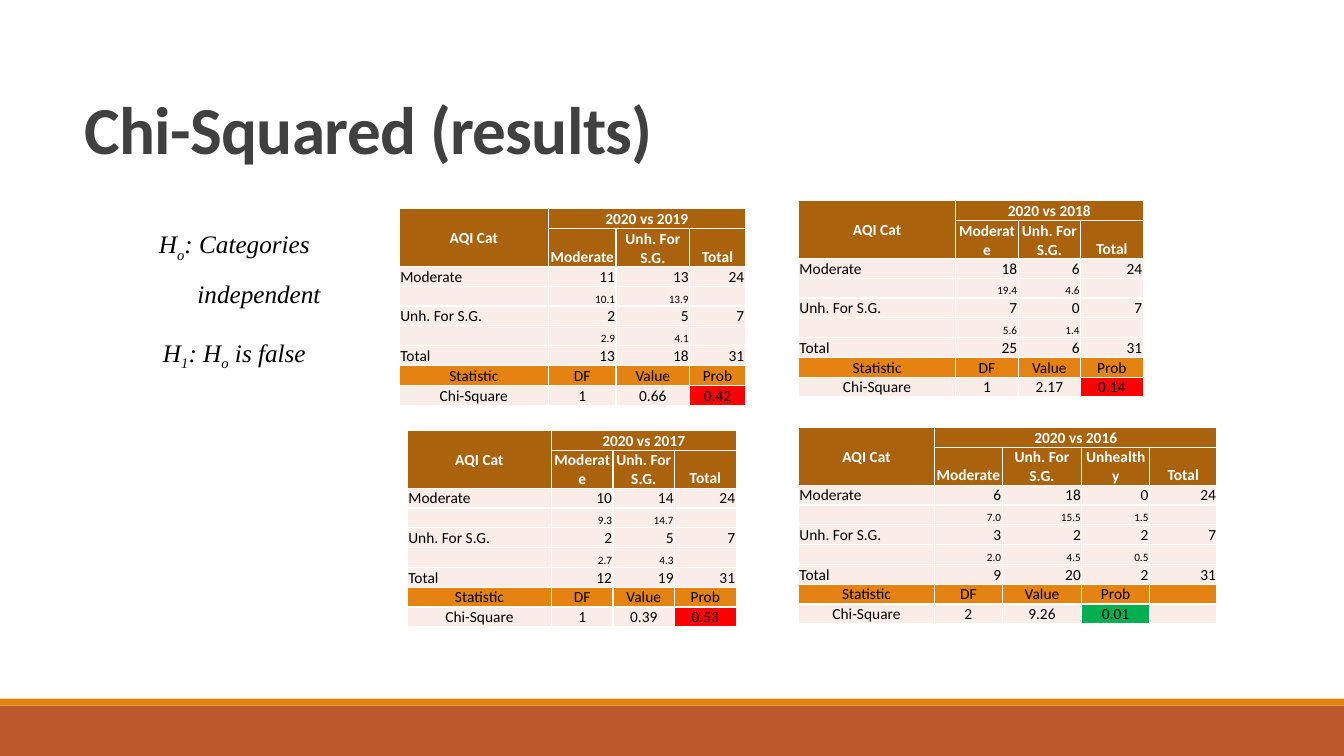
"""Build the chi-squared results slide with four contingency tables."""
from lxml.etree import SubElement
from pptx import Presentation
from pptx.dml.color import RGBColor
from pptx.enum.shapes import MSO_SHAPE
from pptx.enum.text import MSO_ANCHOR, PP_ALIGN
from pptx.oxml.ns import qn
from pptx.util import Inches, Pt

WIDTH, HEIGHT = Inches(13.33), Inches(7.5)
ROW_HEIGHT = 2.62
BROWN, ORANGE, PALE, RED, GREEN = "AB620D", "E48312", "FAEDE7", "FF0000", "00B050"
WHITE, BLACK = "FFFFFF", "000000"

BARS = [((0, 93.33, 100, 6.67), "BD582C"), ((0, 92.4, 100, 0.93), ORANGE)]
TITLE = ("Chi-Squared (results)", (5.55, 11.07, 81.77, 11.87))
HYPOTHESES_BOX = (6.45, 27.33, 21.98, 20.27)
HYPOTHESES = [
    [("H", 0), ("o", 1), (": Categories independent", 0)],
    [("H", 0), ("1", 1), (": H", 0), ("o", 1), (" is false", 0)],
]
LABELS = ["Moderate", "", "Unh. For S.G.", "", "Total"]
STATISTICS = ["Statistic", "DF", "Value", "Prob"]
SHORT_HEADS = ["Moderate", "Unh. For S.G.", "Total"]
LONG_HEADS = ["Moderate", "Unh. For S.G.", "Unhealthy", "Total"]
TABLES = [
    {"year": "2020 vs 2019", "at": (29.71, 27.6), "columns": [11.1, 5.03, 5.48, 4.13],
     "heads": SHORT_HEADS, "result": ["1", "0.66", "0.42"], "mark": RED,
     "counts": [["11", "13", "24"], ["10.1", "13.9", ""], ["2", "5", "7"],
                ["2.9", "4.1", ""], ["13", "18", "31"]]},
    {"year": "2020 vs 2018", "at": (59.41, 26.53), "columns": [11.7, 4.65, 4.65, 4.65],
     "heads": SHORT_HEADS, "result": ["1", "2.17", "0.14"], "mark": RED,
     "counts": [["18", "6", "24"], ["19.4", "4.6", ""], ["7", "0", "7"],
                ["5.6", "1.4", ""], ["25", "6", "31"]]},
    {"year": "2020 vs 2016", "at": (59.41, 56.53), "columns": [10.13, 5.03, 5.93, 5.03, 5.03],
     "heads": LONG_HEADS, "result": ["2", "9.26", "0.01"], "mark": GREEN,
     "counts": [["6", "18", "0", "24"], ["7.0", "15.5", "1.5", ""], ["3", "2", "2", "7"],
                ["2.0", "4.5", "0.5", ""], ["9", "20", "2", "31"]]},
    {"year": "2020 vs 2017", "at": (30.31, 56.93), "columns": [10.73, 4.58, 4.58, 4.58],
     "heads": SHORT_HEADS, "result": ["1", "0.39", "0.53"], "mark": RED,
     "counts": [["10", "14", "24"], ["9.3", "14.7", ""], ["2", "5", "7"],
                ["2.7", "4.3", ""], ["12", "19", "31"]]},
]
CELL_MARGINS = {"margin_left": Inches(0.01), "margin_right": Inches(0.01),
                "margin_top": Inches(0.01), "margin_bottom": 0}


def color(value):
    return RGBColor.from_string(value)


def across(share):
    return round(WIDTH * share / 100)


def down(share):
    return round(HEIGHT * share / 100)


def place(left, top, width, height):
    return across(left), down(top), across(width), down(height)


def set_all(target, values):
    for name, value in values.items():
        setattr(target, name, value)


def add_run(paragraph, text, fill, **font):
    run = paragraph.add_run()
    run.text = text
    set_all(run.font, font)
    run.font.color.rgb = color(fill)
    return run


def add_bar(slide, box, fill):
    bar = slide.shapes.add_shape(MSO_SHAPE.RECTANGLE, *place(*box))
    bar.shadow.inherit = False
    bar.fill.solid()
    bar.fill.fore_color.rgb = color(fill)
    bar.line.fill.background()


def add_title(slide, text, box):
    frame = slide.shapes.add_textbox(*place(*box)).text_frame
    set_all(frame, {"word_wrap": True, "vertical_anchor": MSO_ANCHOR.BOTTOM})
    paragraph = frame.paragraphs[0]
    set_all(paragraph, {"line_spacing": 0.85, "space_after": Pt(6)})
    run = add_run(paragraph, text, "404040", name="Calibri", size=Pt(48), bold=True)
    run.font._element.set("spc", "-50")


def add_hypotheses(slide):
    frame = slide.shapes.add_textbox(*place(*HYPOTHESES_BOX)).text_frame
    frame.word_wrap = True
    for index, parts in enumerate(HYPOTHESES):
        paragraph = frame.add_paragraph() if index else frame.paragraphs[0]
        set_all(paragraph, {"alignment": PP_ALIGN.CENTER, "line_spacing": 1.5, "space_after": Pt(8)})
        if index == 0:
            properties = paragraph._p.get_or_add_pPr()
            properties.set("marL", str(Inches(0.49)))
            properties.set("indent", str(-Inches(0.49)))
        for text, lowered in parts:
            run = add_run(paragraph, text, BLACK, name="Times New Roman", size=Pt(18), italic=True)
            if lowered:
                run.font._element.set("baseline", "-25000")


def format_cell(cell, text, fill, size, alignment, heading):
    set_all(cell, CELL_MARGINS)
    cell.vertical_anchor = MSO_ANCHOR.BOTTOM
    properties = cell._tc.get_or_add_tcPr()
    for side in ("a:lnL", "a:lnR", "a:lnT", "a:lnB"):
        border = SubElement(properties, qn(side), w=str(Pt(1)))
        SubElement(SubElement(border, qn("a:solidFill")), qn("a:srgbClr"), val=WHITE)
    cell.fill.solid()
    cell.fill.fore_color.rgb = color(fill)
    paragraph = cell.text_frame.paragraphs[0]
    paragraph.alignment = alignment
    if text:
        add_run(paragraph, text, WHITE if heading else BLACK,
                name="Calibri", size=Pt(size), bold=heading)
    else:
        SubElement(paragraph._p, qn("a:endParaRPr"), sz=str(size * 100))


def add_result_table(slide, data):
    count = len(data["columns"])
    rows = [["AQI Cat", data["year"]], ["", *data["heads"]]]
    rows += [[label, *values] for label, values in zip(LABELS, data["counts"])]
    rows += [STATISTICS, ["Chi-Square", *data["result"]]]
    box = place(*data["at"], sum(data["columns"]), ROW_HEIGHT * len(rows))
    table = slide.shapes.add_table(len(rows), count, *box).table
    set_all(table, {"first_row": False, "horz_banding": False})
    for column, share in zip(table.columns, data["columns"]):
        column.width = across(share)
    fills = [BROWN] * 2 + [PALE] * 5 + [ORANGE, PALE]
    for row, texts in enumerate(rows):
        table.rows[row].height = down(ROW_HEIGHT)
        counts_row = 2 <= row <= 6
        for column in range(count):
            text = texts[column] if column < len(texts) else ""
            alignment = PP_ALIGN.CENTER
            if counts_row:
                alignment = PP_ALIGN.RIGHT if column else PP_ALIGN.LEFT
            fill = data["mark"] if (row, column) == (8, 3) else fills[row]
            size = 8 if row in (3, 5) else 11
            format_cell(table.cell(row, column), text, fill, size, alignment, row < 2)
    table.cell(0, 0).merge(table.cell(1, 0))
    table.cell(0, 1).merge(table.cell(0, count - 1))
    table.cell(0, 0).vertical_anchor = MSO_ANCHOR.MIDDLE


def main():
    presentation = Presentation()
    set_all(presentation, {"slide_width": WIDTH, "slide_height": HEIGHT})
    slide = presentation.slides.add_slide(presentation.slide_layouts[6])
    for box, fill in BARS:
        add_bar(slide, box, fill)
    add_title(slide, *TITLE)
    add_hypotheses(slide)
    for data in TABLES:
        add_result_table(slide, data)
    presentation.save("out.pptx")


if __name__ == "__main__":
    main()
